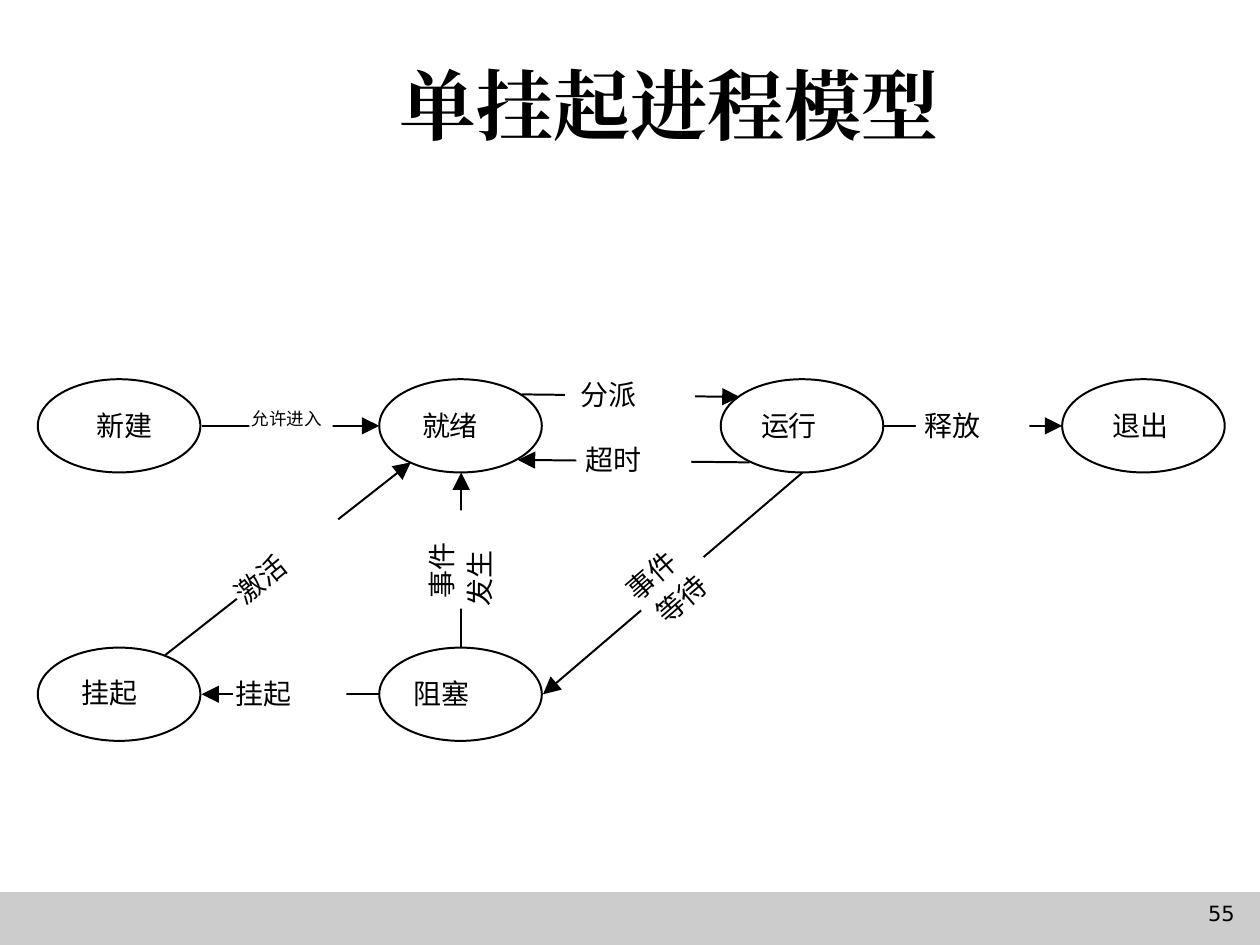
from lxml.etree import SubElement as Sub
from pptx import Presentation
from pptx.dml.color import RGBColor
from pptx.enum.shapes import MSO_CONNECTOR as Link, MSO_SHAPE as Kind
from pptx.enum.text import MSO_ANCHOR as Anchor, PP_ALIGN as Align
from pptx.oxml.ns import qn
from pptx.util import Inches, Pt

COLS, ROWS = 100, 75
WIDE, HIGH = Inches(10), Inches(7.5)
BLACK, WHITE, GREY = "000000", "FFFFFF", "CCCCCC"
HAN = "Noto Sans CJK SC"
LEFT, TOP, STEP, DROP = 3, 30.1, 27.1, 21.3
OVAL_W, OVAL_H = 12.9, 7.4
NODES = [(0, 0), (1, 0), (2, 0), (3, 0), (0, 1), (1, 1)]
ARROWS = [
    ((16, 33.8), (30.1, 33.8)),
    ((41.4, 31.3), (58.7, 31.5)),
    ((59.5, 36.7), (41.1, 36.5)),
    ((63.7, 37.5), (43.1, 55.1)),
    ((36.6, 51.4), (36.6, 37.5)),
    ((70.2, 33.8), (84.3, 33.8)),
    ((30.1, 55.1), (16, 55.1)),
    ((13.1, 52), (32.6, 36.7)),
]
GAPS = [
    (19.8, 32.2, 6.6, 3.2, 0),
    (44.85, 29.75, 10.3, 3.2, 0.5),
    (45.75, 34.95, 9.1, 3.2, 0.5),
    (50.05, 43.2, 6.5, 6.1, 320),
    (33.5, 40.5, 6.1, 7.8, 0),
    (72.7, 32.2, 9, 3.2, 0),
    (18.5, 53.4, 9, 3.2, 0),
    (17.7, 42.75, 10.2, 3.2, 321.5),
]
WORDS = [
    ("新建", 7.7, 32.4, 0), ("就绪", 33.5, 32.4, 0),
    ("运行", 60.4, 32.4, 0), ("退出", 88.3, 32.4, 0),
    ("挂起", 6.5, 53.6, 0), ("阻塞", 32.8, 53.7, 0),
    ("分派", 46.1, 30, 0), ("超时", 46.5, 35.1, 0),
    ("释放", 73.4, 32.4, 0), ("挂起", 18.7, 53.7, 0),
    ("事件", 49.5, 44.1, 319), ("等待", 51.9, 46, 319),
    ("事件", 32.7, 43.5, 270), ("发生", 35.7, 44.1, 270),
    ("激活", 18.5, 44.4, 321),
]


def hue(code):
    """Turn a hex string into a colour."""
    return RGBColor.from_string(code)


def place(x, y):
    """Turn grid columns and rows into slide lengths."""
    return round(WIDE * x / COLS), round(HIGH * y / ROWS)


def shape(slide, kind, x, y, w, h, fill, line=None, turn=0):
    """Add a filled preset shape, outlined if a line colour is given."""
    item = slide.shapes.add_shape(kind, *place(x, y), *place(w, h))
    item.shadow.inherit = False
    item.rotation = turn
    item.fill.solid()
    item.fill.fore_color.rgb = hue(fill)
    if line:
        item.line.color.rgb = hue(line)
        item.line.width = Pt(1.13)
    else:
        item.line.fill.background()


def arrow(slide, start, end):
    """Add a straight line with a solid head at its end."""
    item = slide.shapes.add_connector(Link.STRAIGHT, *place(*start), *place(*end))
    item.line.color.rgb = hue(BLACK)
    item.line.width = Pt(1.13)
    props = item.line._get_or_add_ln()
    Sub(props, qn("a:tailEnd"), type="triangle", w="lg", len="lg")
    Sub(item._element.spPr, qn("a:effectLst"))


def text(slide, words, x, y, w, h, size=16, face=HAN, bold=False,
         align=Align.LEFT, anchor=Anchor.TOP, turn=0):
    """Add a one-run text box without insets."""
    box = slide.shapes.add_textbox(*place(x, y), *place(w, h))
    box.rotation = turn
    frame = box.text_frame
    frame.word_wrap = True
    frame.vertical_anchor = anchor
    frame.margin_left = frame.margin_right = 0
    frame.margin_top = frame.margin_bottom = 0
    para = frame.paragraphs[0]
    para.alignment = align
    run = para.add_run()
    run.text = words
    font = run.font
    font.size, font.name, font.bold = Pt(size), face, bold
    font.color.rgb = hue(BLACK)
    Sub(run._r.get_or_add_rPr(), qn("a:ea"), typeface=face)


def main():
    """Build the process state slide and save it."""
    deck = Presentation()
    deck.slide_width, deck.slide_height = WIDE, HIGH
    slide = deck.slides.add_slide(deck.slide_layouts[6])
    shape(slide, Kind.RECTANGLE, 0, 70.8, COLS, 4.2, GREY)
    text(slide, "55", 93.6, 71.5, 4.4, 3, 12, "DejaVu Sans", align=Align.RIGHT)
    for col, row in NODES:
        shape(slide, Kind.OVAL, LEFT + col * STEP, TOP + row * DROP,
              OVAL_W, OVAL_H, WHITE, BLACK)
    for start, end in ARROWS:
        arrow(slide, start, end)
    for x, y, w, h, turn in GAPS:
        shape(slide, Kind.RECTANGLE, x, y, w, h, WHITE, turn=turn)
    for words, x, y, turn in WORDS:
        text(slide, words, x, y, 5, 3, turn=turn)
    text(slide, "允许进入", 20, 32.4, 6.7, 2, 10)
    text(slide, "单挂起进程模型", 10.6, 3.3, 85.1, 9.8, 44, "Times New Roman",
         True, Align.CENTER, Anchor.MIDDLE)
    deck.save("out.pptx")


if __name__ == "__main__":
    main()
